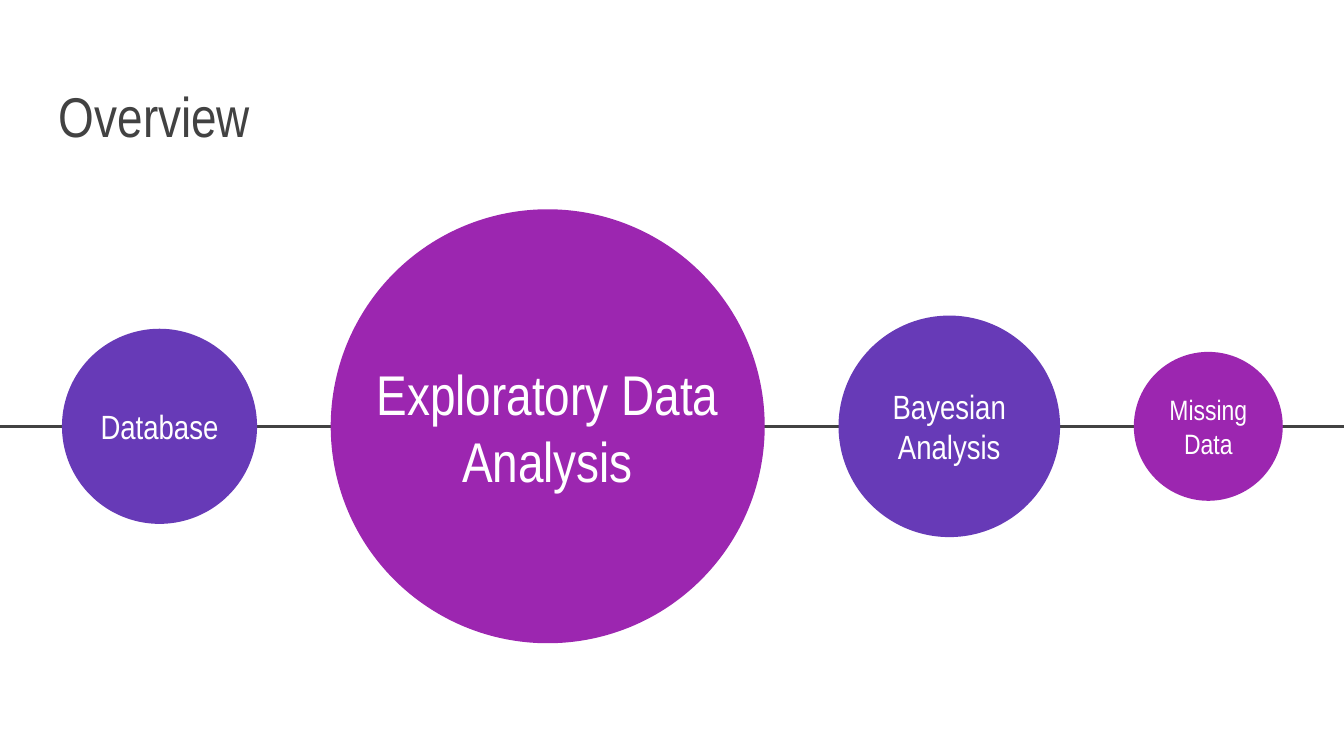
from dataclasses import dataclass

from pptx import Presentation
from pptx.dml.color import RGBColor
from pptx.enum.shapes import MSO_CONNECTOR, MSO_SHAPE
from pptx.enum.text import MSO_ANCHOR, PP_ALIGN
from pptx.oxml.ns import qn
from pptx.util import Pt

OVAL, STRAIGHT = MSO_SHAPE.OVAL, MSO_CONNECTOR.STRAIGHT
BOTTOM, MIDDLE = MSO_ANCHOR.BOTTOM, MSO_ANCHOR.MIDDLE
LEFT, CENTER = PP_ALIGN.LEFT, PP_ALIGN.CENTER


@dataclass(frozen=True)
class Theme:
    """Colours, font and type sizes of the slide."""
    font: str = "Arial Narrow"
    ink: RGBColor = RGBColor(0x42, 0x42, 0x42)
    white: RGBColor = RGBColor(0xFF, 0xFF, 0xFF)
    violet: RGBColor = RGBColor(0x67, 0x3A, 0xB7)
    magenta: RGBColor = RGBColor(0x9C, 0x26, 0xB0)
    large: int = 30
    medium: int = 18
    small: int = 15


THEME = Theme()
WIDTH, HEIGHT = 720, 405
TITLE_BOX = (24.5, 29.5, 671, 57.6)
TIMELINE_BOX = (0, 112, WIDTH, 232.8)
MARGIN, GAP, LABEL_HEIGHT = 33.2, 39.5, 47.5
TOPICS = [
    ("Database", 104.5, THEME.violet, THEME.medium),
    ("Exploratory Data Analysis", 232.5, THEME.magenta, THEME.large),
    ("Bayesian Analysis", 118.7, THEME.violet, THEME.medium),
    ("Missing Data", 79.8, THEME.magenta, THEME.small),
]


def set_attrs(obj, values):
    """Set each attribute named in a dict of format values."""
    for name, value in values.items():
        setattr(obj, name, value)


def add_text(s, box, text, size, color, align, anchor):
    """Place one line of formatted text in a wrapped box."""
    tf = s.shapes.add_textbox(*map(Pt, box)).text_frame
    margins = {f"margin_{side}": Pt(7.2) for side in ("left", "top", "right", "bottom")}
    set_attrs(tf, {"word_wrap": True, "vertical_anchor": anchor, **margins})
    p = tf.paragraphs[0]
    p.alignment = align
    r = p.add_run()
    r.text = text
    set_attrs(r.font, {"name": THEME.font, "size": Pt(size)})
    r.font.color.rgb = color


def add_title(s, box):
    """Place the slide title at the bottom of its box."""
    add_text(s, box, "Overview", THEME.large, THEME.ink, LEFT, BOTTOM)


def add_axis(s, x, y, width):
    """Draw the horizontal line that joins the topics."""
    axis = s.shapes.add_connector(STRAIGHT, Pt(x), Pt(y), Pt(x + width), Pt(y))
    axis.line.color.rgb = THEME.ink
    axis.line.width = Pt(1.5)
    sp_pr = axis._element.spPr
    sp_pr.append(sp_pr.makeelement(qn("a:effectLst"), {}))


def add_topic(s, box, text, color, size):
    """Draw a topic circle with its label across the middle."""
    x, y, width, height = box
    sp = s.shapes.add_shape(OVAL, *map(Pt, box))
    sp.shadow.inherit = False
    sp.fill.solid()
    sp.fill.fore_color.rgb = color
    sp.line.fill.background()
    label = (x, y + (height - LABEL_HEIGHT) / 2, width, LABEL_HEIGHT)
    add_text(s, label, text, size, THEME.white, CENTER, MIDDLE)


def add_timeline(s, box):
    """Place the topics at equal gaps, centred on the axis."""
    left, top, width, height = box
    middle = top + height / 2
    add_axis(s, left, middle, width)
    x = left + MARGIN
    for text, diameter, color, size in TOPICS:
        circle = (x, middle - diameter / 2, diameter, diameter)
        add_topic(s, circle, text, color, size)
        x += diameter + GAP


def main():
    """Build and save the overview slide."""
    prs = Presentation()
    set_attrs(prs, {"slide_width": Pt(WIDTH), "slide_height": Pt(HEIGHT)})
    s = prs.slides.add_slide(prs.slide_layouts[6])
    s.background.fill.solid()
    s.background.fill.fore_color.rgb = THEME.white
    add_title(s, TITLE_BOX)
    add_timeline(s, TIMELINE_BOX)
    prs.save("out.pptx")


if __name__ == "__main__":
    main()
